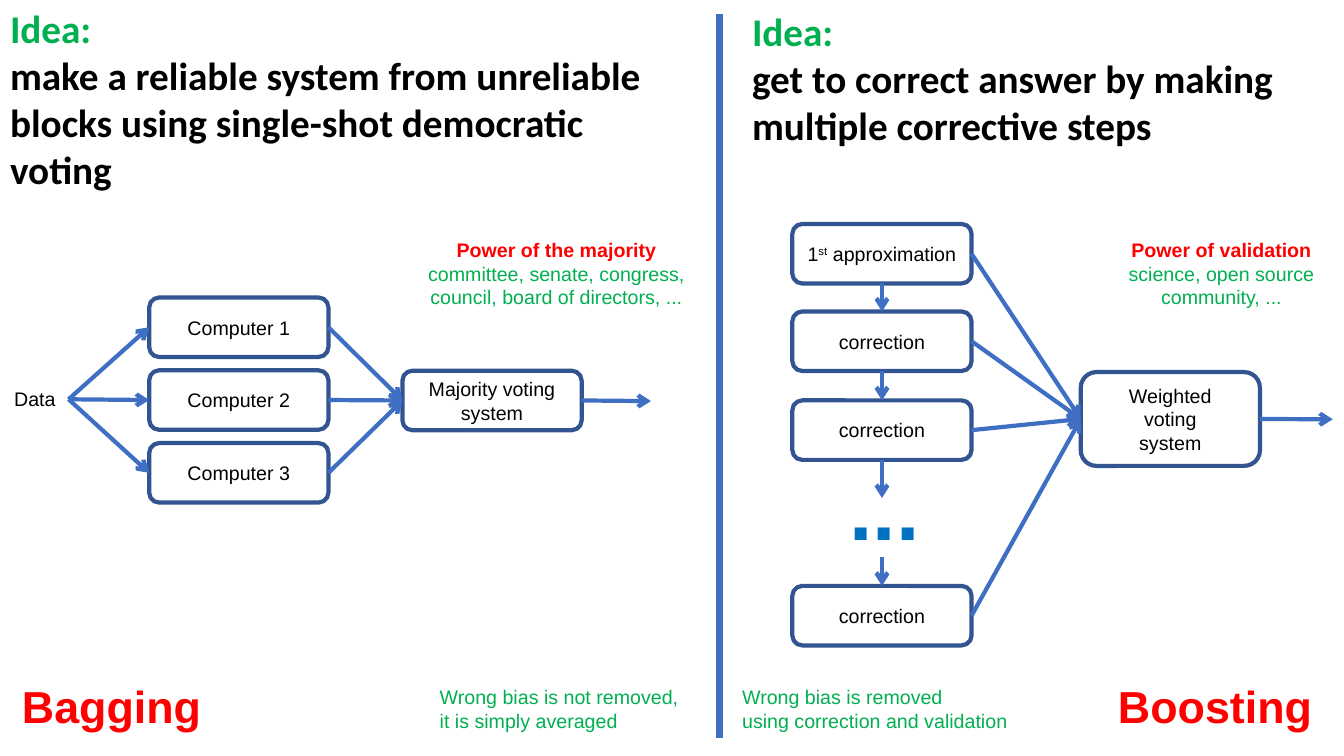
from lxml import etree
from pptx import Presentation
from pptx.dml.color import RGBColor
from pptx.enum.shapes import MSO_CONNECTOR, MSO_SHAPE
from pptx.enum.text import MSO_ANCHOR, MSO_AUTO_SIZE, PP_ALIGN
from pptx.oxml.ns import qn
from pptx.util import Pt

LEFT, CENTER = PP_ALIGN.LEFT, PP_ALIGN.CENTER
TOP, MIDDLE = MSO_ANCHOR.TOP, MSO_ANCHOR.MIDDLE
ROUNDED, STRAIGHT = MSO_SHAPE.ROUNDED_RECTANGLE, MSO_CONNECTOR.STRAIGHT
NO_AUTOFIT = MSO_AUTO_SIZE.NONE
# Connection sites of a rounded rectangle
SITE_TOP, SITE_LEFT, SITE_BOTTOM, SITE_RIGHT = range(4)

COLORS = {"green": "00B050", "red": "FF0000", "black": "000000",
          "dots": "0070C0", "box": "325491", "arrow": "3F6FC3"}
BOX_W, BOX_H = 128, 42.5


def color(name):
    return RGBColor.from_string(COLORS[name])


class Diagram:
    """Draws on one slide in a shared style; all lengths are in points."""

    def __init__(self, slide):
        self.slide = slide
        self.shapes = slide.shapes

    def set_lines(self, tf, lines, size=14, align=LEFT, font="Arial"):
        """Fill a text frame; each line is (text, colour name, bold)."""
        tf.word_wrap = True
        for i, (text, name, bold) in enumerate(lines):
            p = tf.add_paragraph() if i else tf.paragraphs[0]
            p.text = text
            p.alignment = align
            p.font.size, p.font.name, p.font.bold = Pt(size), font, bold
            p.font.color.rgb = color(name)

    def heading(self, s, x, y, w, h, text):
        """Turn a placeholder into an idea heading."""
        s.left, s.top, s.width, s.height = Pt(x), Pt(y), Pt(w), Pt(h)
        tf = s.text_frame
        tf.auto_size, tf.vertical_anchor = NO_AUTOFIT, TOP
        self.set_lines(tf, [("Idea:", "green", True), (text, "black", True)],
                       28, font="Calibri")
        for p in tf.paragraphs:
            p.space_before = Pt(0)
            pPr = p._p.get_or_add_pPr()
            pPr.set("marL", "0")
            pPr.set("indent", "0")
            pPr.find(qn("a:defRPr")).addprevious(etree.Element(qn("a:buNone")))

    def text(self, x, y, w, h, lines, size=14, align=LEFT):
        s = self.shapes.add_textbox(Pt(x), Pt(y), Pt(w), Pt(h))
        self.set_lines(s.text_frame, lines, size, align)

    def box(self, x, y, *labels, h=BOX_H):
        s = self.shapes.add_shape(ROUNDED, Pt(x), Pt(y), Pt(BOX_W), Pt(h))
        s.shadow.inherit = False
        s.fill.background()
        s.line.color.rgb, s.line.width = color("box"), Pt(3)
        tf = s.text_frame
        tf.margin_left = tf.margin_right = tf.margin_top = tf.margin_bottom = 0
        tf.vertical_anchor = MIDDLE
        self.set_lines(tf, [(label, "black", False) for label in labels], align=CENTER)
        return s

    def line(self, x1, y1, x2, y2, width=3):
        s = self.shapes.add_connector(STRAIGHT, Pt(x1), Pt(y1), Pt(x2), Pt(y2))
        s.line.color.rgb, s.line.width = color("arrow"), Pt(width)
        etree.SubElement(s._element.spPr, qn("a:effectLst"))
        return s

    def arrow(self, start, end):
        """Each end is an (x, y) point or a (shape, connection site) pair."""
        start_free, end_free = (isinstance(e[0], (int, float)) for e in (start, end))
        s = self.line(*(start if start_free else (0, 0)), *(end if end_free else (0, 0)))
        if not start_free:
            s.begin_connect(*start)
        if not end_free:
            s.end_connect(*end)
        etree.SubElement(s._element.spPr.find(qn("a:ln")), qn("a:tailEnd"), type="arrow")


def draw_bagging(d):
    data = (49, 285.2)
    d.text(3, 273, 46, 24.5, [("Data", "black", False)])
    voting = d.box(287.5, 264.8, "Majority voting", "system")
    for i in range(3):
        computer = d.box(106.6, 212.5 + 52 * i, f"Computer {i + 1}")
        d.arrow(data, (computer, SITE_LEFT))
        d.arrow((computer, SITE_RIGHT), (voting, SITE_LEFT))
    d.arrow((voting, SITE_RIGHT), (465, 286.5))
    d.text(289, 166.5, 217, 58, [
        ("Power of the majority", "red", True),
        ("committee, senate, congress, council, board of directors, ...", "green", False),
    ], align=CENTER)
    d.text(8.6, 481, 162, 46, [("Bagging", "red", True)], 32)
    d.text(307, 486, 198, 41, [("Wrong bias is not removed,", "green", False),
                               ("it is simply averaged", "green", False)])


def draw_boosting(d):
    x = 566
    mid = x + BOX_W / 2
    steps = [d.box(x, 160, "1")]
    p = steps[0].text_frame.paragraphs[0]
    for part, baseline in (("st", "30000"), (" approximation", "0")):
        r = p.add_run()
        r.text = part
        r._r.get_or_add_rPr().set("baseline", baseline)
    steps += [d.box(x, y, "correction") for y in (222.5, 286, 418.5)]
    voting = d.box(772, 265.8, "Weighted", "voting", "system", h=67)
    for upper, lower in zip(steps[:2], steps[1:3]):
        d.arrow((upper, SITE_BOTTOM), (lower, SITE_TOP))
    d.arrow((steps[2], SITE_BOTTOM), (mid, 355.7))
    d.text(597.6, 322.5, 68.4, 80, [("...", "dots", True)], 60, CENTER)
    d.arrow((mid, 398), (steps[3], SITE_TOP))
    for step in steps:
        d.arrow((step, SITE_RIGHT), (voting, SITE_LEFT))
    d.arrow((voting, SITE_RIGHT), (952, 299.5))
    d.text(788, 166.5, 169, 58, [
        ("Power of validation", "red", True),
        ("science, open source community, ...", "green", False),
    ], align=CENTER)
    d.text(791.5, 481, 162, 46, [("Boosting", "red", True)], 32)
    d.text(523, 486, 218, 41, [("Wrong bias is removed", "green", False),
                               ("using correction and validation", "green", False)])


def main():
    prs = Presentation()
    prs.slide_width, prs.slide_height = Pt(960), Pt(540)
    d = Diagram(prs.slides.add_slide(prs.slide_layouts[1]))
    title, body = d.slide.placeholders
    d.heading(title, 0, -0.7, 499, 140,
              "make a reliable system from unreliable blocks using "
              "single-shot democratic voting")
    d.heading(body, 530, 1.4, 430, 114,
              "get to correct answer by making multiple corrective steps")
    draw_bagging(d)
    draw_boosting(d)
    d.line(514, 10, 514, 527, width=5)
    prs.save("out.pptx")


if __name__ == "__main__":
    main()
